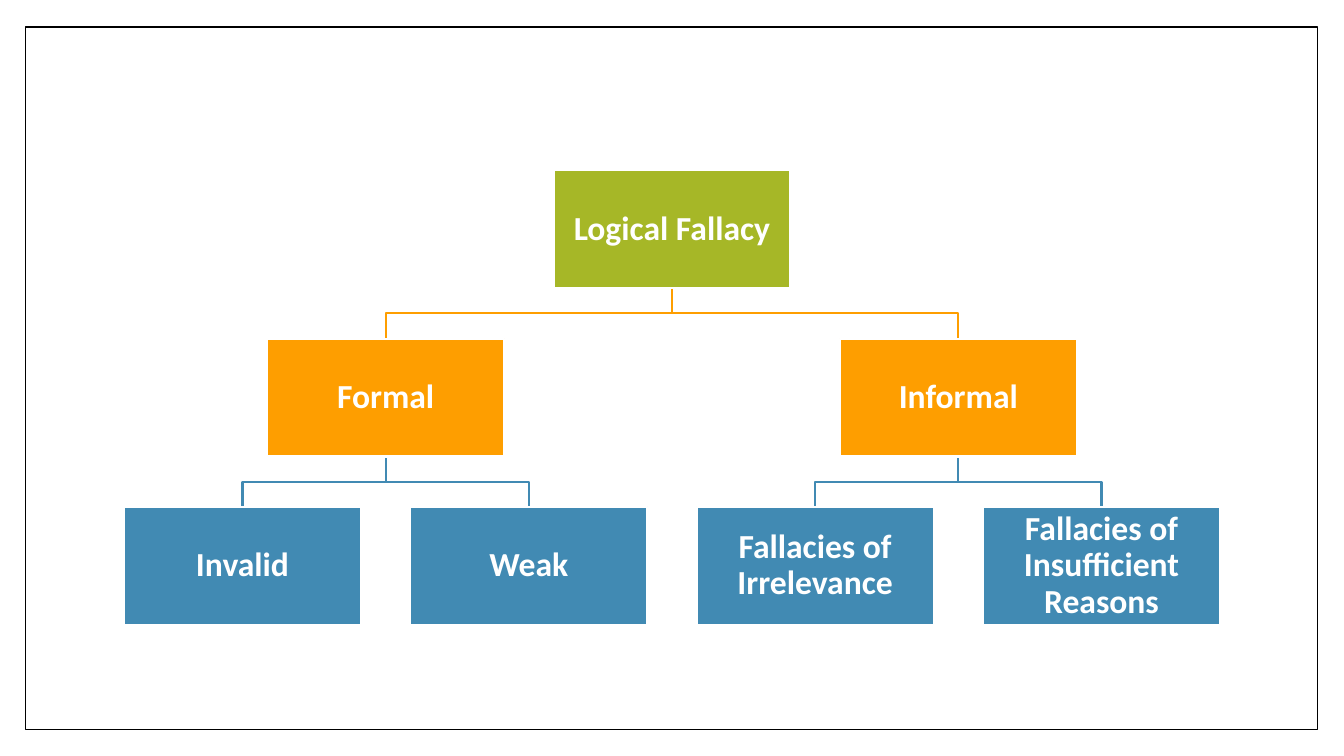
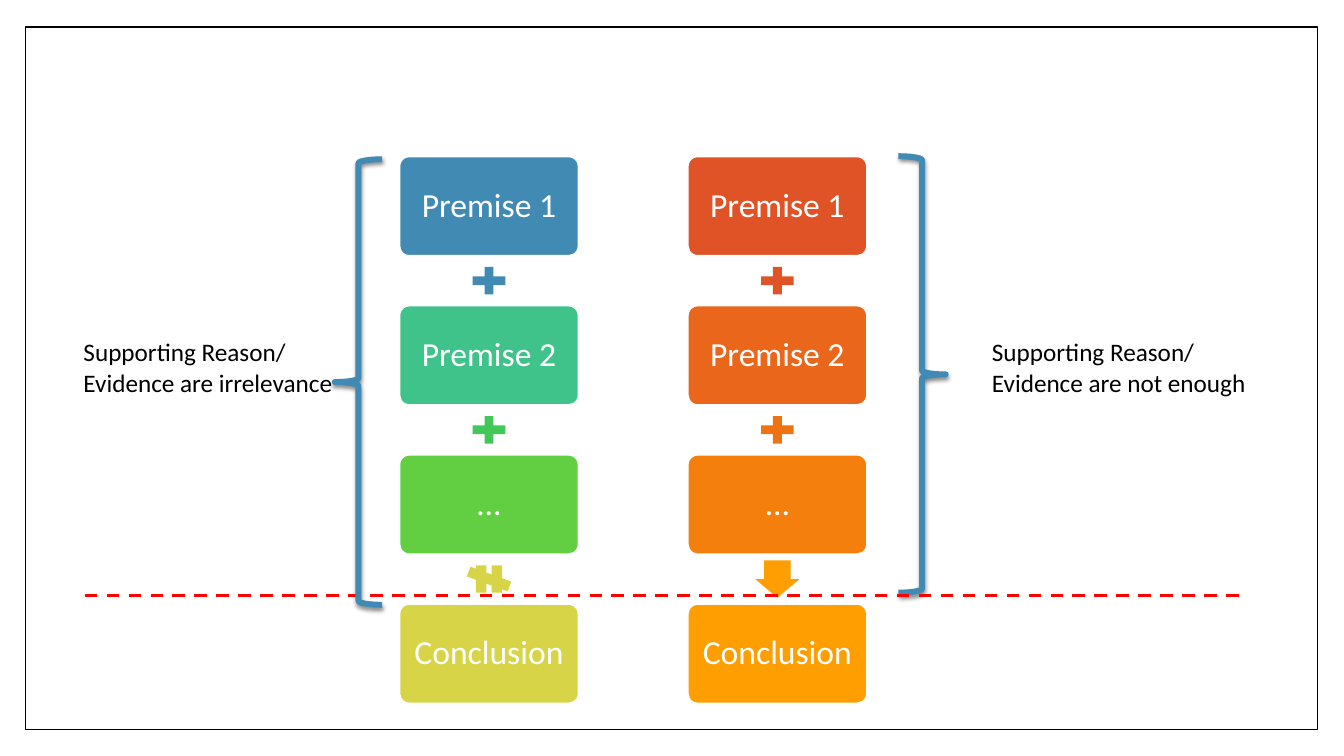
from lxml import etree
from pptx import Presentation, util as u
from pptx.dml.color import RGBColor
from pptx.enum import dml, shapes, text
from pptx.oxml.ns import qn

WHITE = RGBColor(0xFF, 0xFF, 0xFF)
BLACK = RGBColor(0, 0, 0)
RED = RGBColor(0xFF, 0, 0)
BLUE = RGBColor(0x41, 0x8A, 0xB3)
LIME = RGBColor(0xA6, 0xB7, 0x27)
AMBER = RGBColor(0xFE, 0x9E, 0x00)
TEAL = RGBColor(0x3F, 0xC3, 0x8A)
GREEN = RGBColor(0x41, 0xC8, 0x58)
GRASS = RGBColor(0x62, 0xCE, 0x42)
YELLOW = RGBColor(0xD7, 0xD4, 0x47)
BRICK = RGBColor(0xDF, 0x53, 0x27)
RUST = RGBColor(0xE9, 0x66, 0x1A)
ORANGE = RGBColor(0xEF, 0x72, 0x13)
PEEL = RGBColor(0xF4, 0x7F, 0x0D)
FONT = "Calibri"
KIND = shapes.MSO_SHAPE
WIDE, HIGH = 13.33, 7.5


def draw(slide, kind, x, y, w, h, fill=None, line=None, size=1.5):
    """Add a flat shape; without a fill or line colour that part stays empty."""
    shape = slide.shapes.add_shape(kind, *map(u.Inches, (x, y, w, h)))
    shape.shadow.inherit = False
    for part, color in ((shape.fill, fill), (shape.line.fill, line)):
        if color is None:
            part.background()
        else:
            part.solid()
            part.fore_color.rgb = color
    if line is not None:
        shape.line.width = u.Pt(size)
    return shape


def label(shape, words, inset, bold=False):
    """Centre white text in a block."""
    frame = shape.text_frame
    frame.word_wrap = True
    frame.vertical_anchor = text.MSO_ANCHOR.MIDDLE
    frame.margin_left = frame.margin_right = u.Inches(inset)
    frame.margin_top = frame.margin_bottom = u.Inches(inset)
    frame.text = words
    para = frame.paragraphs[0]
    para.alignment = text.PP_ALIGN.CENTER
    para.line_spacing = 0.9
    font = para.runs[0].font
    font.name, font.size, font.bold = FONT, u.Pt(24), bold
    font.color.rgb = WHITE


deck = Presentation()
deck.slide_width, deck.slide_height = u.Inches(WIDE), u.Inches(HIGH)
blank = deck.slide_layouts[6]
tree = deck.slides.add_slide(blank)
proof = deck.slides.add_slide(blank)

# The border belongs to the layout, so both slides share it
border = draw(tree, KIND.RECTANGLE, 0.25, 0.27, 12.82, 6.97, WHITE, BLACK, 1)
blank.shapes.element.append(border.element)

# Slide 1: tree of fallacies; columns count from the middle of the slide
STEP, TOP, ROW = 2.84, 1.69, 1.67
NODE_W, NODE_H = 2.35, 1.17
TINTS = [LIME, AMBER, BLUE]
nodes = [  # words, column, row, column of the parent
    ("Logical Fallacy", 0, 0, None),
    ("Formal", -1, 1, 0),
    ("Informal", 1, 1, 0),
    ("Invalid", -1.5, 2, -1),
    ("Weak", -0.5, 2, -1),
    ("Fallacies of Irrelevance", 0.5, 2, 1),
    ("Fallacies of Insufficient Reasons", 1.5, 2, 1),
]
for words, col, row, above in nodes:
    if above is None:
        continue
    start, end = WIDE / 2 + above * STEP, WIDE / 2 + col * STEP
    low = TOP + row * ROW
    high = low - ROW + NODE_H
    mid = (low + high) / 2
    pen = tree.shapes.build_freeform(u.Inches(start), u.Inches(high))
    bends = [(start, mid), (end, mid), (end, low)]
    pen.add_line_segments([(u.Inches(x), u.Inches(y)) for x, y in bends], close=False)
    link = pen.convert_to_shape()
    link.shadow.inherit = False
    link.fill.background()
    link.line.color.rgb = TINTS[row]
    link.line.width = u.Pt(1.5)
for words, col, row, above in nodes:
    left = WIDE / 2 + col * STEP - NODE_W / 2
    node = draw(tree, KIND.RECTANGLE, left, TOP + row * ROW, NODE_W, NODE_H,
                TINTS[row], WHITE)
    label(node, words, 0.02, True)

# Slide 2: two chains of premises, each with signs between its cards
CARD_W, CARD_H, PITCH, CARD_Y = 1.78, 0.99, 1.48, 1.55
SIGN_W, SIGN_H = 0.37, 0.44
steps = ["Premise 1", "Premise 2", "…", "Conclusion"]
chains = [  # left, card colours, sign colours, last sign
    (6.82, [BRICK, RUST, PEEL, AMBER], [BRICK, ORANGE, AMBER], KIND.RIGHT_ARROW),
    (3.96, [BLUE, TEAL, GRASS, YELLOW], [BLUE, GREEN, YELLOW], KIND.MATH_NOT_EQUAL),
]
for left, cards, signs, last in chains:
    for i, (words, tint) in enumerate(zip(steps, cards)):
        card = draw(proof, KIND.ROUNDED_RECTANGLE, left, CARD_Y + i * PITCH,
                    CARD_W, CARD_H, tint, WHITE)
        card.adjustments[0] = 0.1
        label(card, words, 0.1)
    for i, (kind, tint) in enumerate(zip([KIND.MATH_PLUS] * 2 + [last], signs)):
        mid = CARD_Y + i * PITCH + (CARD_H + PITCH) / 2
        sign = draw(proof, kind, left + (CARD_W - SIGN_W) / 2, mid - SIGN_H / 2,
                    SIGN_W, SIGN_H, tint)
        sign.rotation = 90
        if kind == KIND.RIGHT_ARROW:
            sign.adjustments[0] = 0.6

rule = proof.shapes.add_connector(shapes.MSO_CONNECTOR.STRAIGHT, u.Inches(0.84),
                                  u.Inches(5.91), u.Inches(12.34), u.Inches(5.91))
rule.line.color.rgb = RED
rule.line.width = u.Pt(2.25)
rule.line.dash_style = dml.MSO_LINE.DASH
etree.SubElement(rule.element.spPr, qn("a:effectLst"))

for left, top, tall, turn in [(8.91, 1.55, 4.33, 0), (3.32, 1.58, 4.42, 180)]:
    brace = draw(proof, KIND.RIGHT_BRACE, left, top, 0.47, tall, None, BLUE, 4.25)
    brace.rotation = turn
    glow = brace.element.spPr.find(qn("a:effectLst"))
    shade = etree.SubElement(glow, qn("a:outerShdw"), blurRad=str(u.Pt(3)),
                             dist=str(u.Pt(2)), dir="5400000", rotWithShape="0")
    ink = etree.SubElement(shade, qn("a:srgbClr"), val=str(BLACK))
    etree.SubElement(ink, qn("a:alpha"), val="45000")
    if not turn:  # the rule runs over the right brace only
        rule.element.addprevious(brace.element)

for left, end in [(9.74, "not enough"), (0.73, "irrelevance")]:
    note = proof.shapes.add_textbox(*map(u.Inches, (left, 3.29, 2.76, 1.01)))
    note.text_frame.word_wrap = True
    note.text_frame.text = f"Supporting Reason/ Evidence are {end}"
    font = note.text_frame.paragraphs[0].runs[0].font
    font.name, font.size = FONT, u.Pt(18)
    font.color.rgb = BLACK

deck.save("out.pptx")
